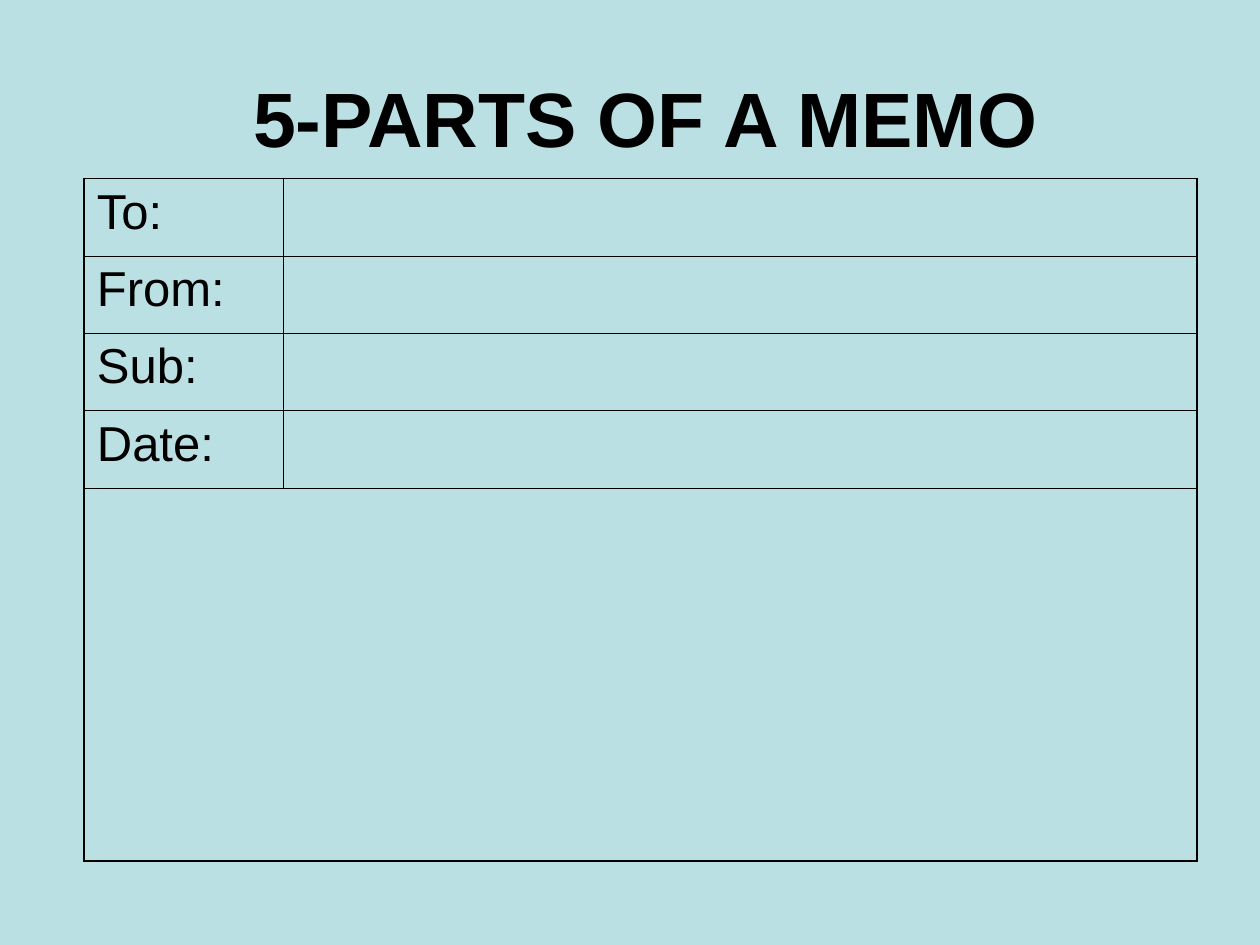
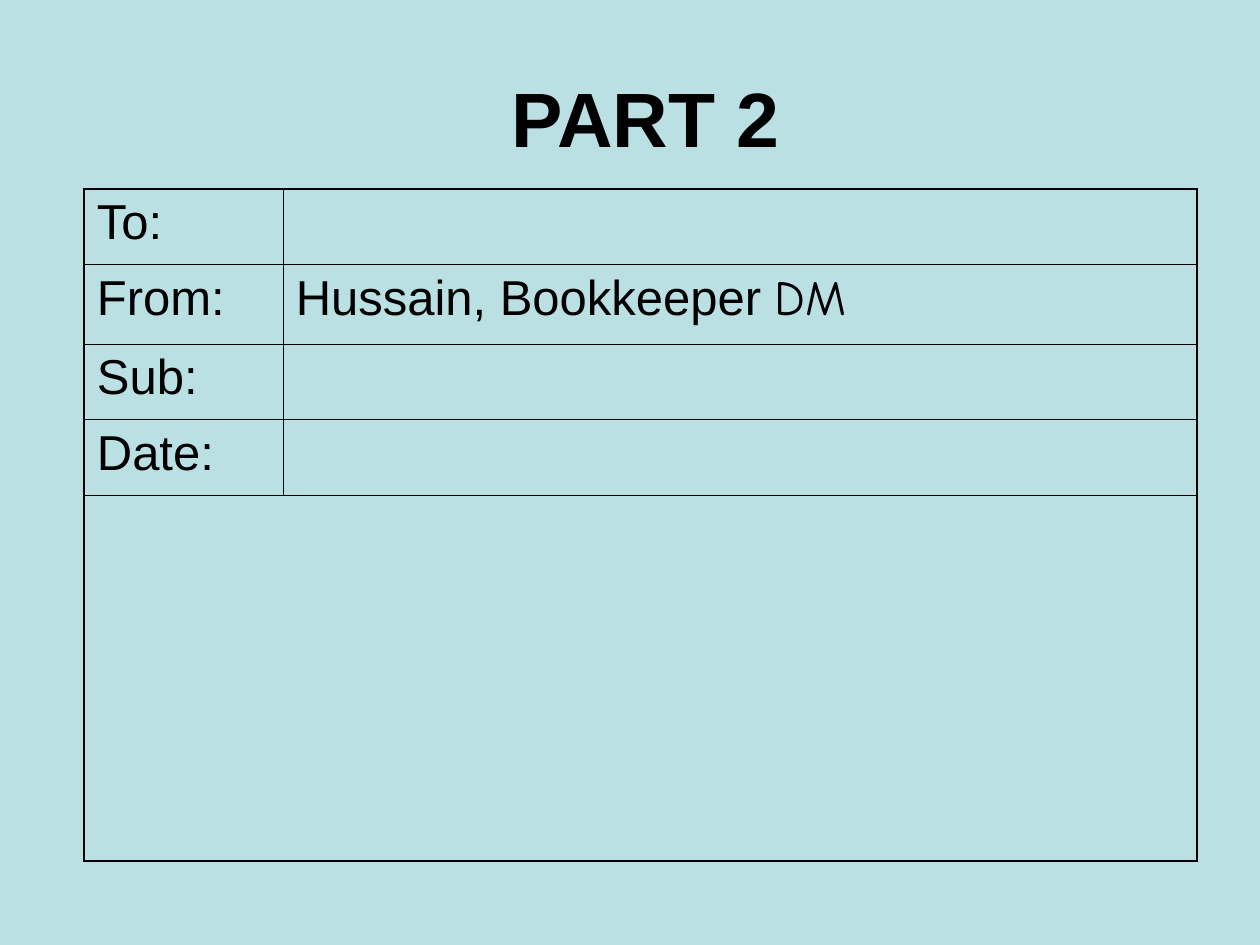
from lxml import etree
from pptx import Presentation
from pptx.dml.color import RGBColor
from pptx.enum.text import MSO_ANCHOR, PP_ALIGN
from pptx.oxml.ns import qn
from pptx.util import Cm, Pt

MIDDLE = MSO_ANCHOR.MIDDLE
CENTER = PP_ALIGN.CENTER
BACK = RGBColor(0xBB, 0xE0, 0xE3)
INK = RGBColor(0, 0, 0)
FONT = "Arial"
HAND = "Comic Neue"
THIN, THICK = Pt(0.45), Pt(1.08)
LABELS = ["To:", "From:", "Sub:", "Date:"]
WIDTHS = [4.01, 18.42]


def style(font, size, bold=False):
    """Give a font the deck's face and ink."""
    font.name = FONT
    font.size = Pt(size)
    font.bold = bold
    font.color.rgb = INK


def add_title(slide, text):
    """Place the slide title."""
    title = slide.shapes.title
    title.left, title.top = Cm(1.9), Cm(0.76)
    title.width, title.height = Cm(22.23), Cm(3.18)
    frame = title.text_frame
    frame.text = text
    frame.vertical_anchor = MIDDLE
    para = frame.paragraphs[0]
    para.alignment = CENTER
    style(para.font, 44, True)


def add_edges(cell, widths):
    """Draw the left, right, top and bottom borders of a cell."""
    props = cell._tc.get_or_add_tcPr()
    for spot, (side, width) in enumerate(zip("LRTB", widths)):
        line = etree.Element(qn(f"a:ln{side}"), w=str(width))
        fill = etree.SubElement(line, qn("a:solidFill"))
        etree.SubElement(fill, qn("a:srgbClr"), val=str(INK))
        props.insert(spot, line)


def fill_cell(cell, *parts):
    """Write (text, font) parts into a cell; no font means the deck's own."""
    para = cell.text_frame.paragraphs[0]
    for text, face in parts:
        run = para.add_run()
        run.text = text
        if face:
            run.font.name = face
    style(para.font, 28)


def add_memo(slide, top, heights):
    """Add the memo form and return its table."""
    rows, cols = len(heights), len(WIDTHS)
    frame = slide.shapes.add_table(rows, cols, Cm(1.7), Cm(top),
                                   Cm(sum(WIDTHS)), Cm(sum(heights)))
    table = frame.table
    table.first_row = table.horz_banding = False
    for col, width in zip(table.columns, WIDTHS):
        col.width = Cm(width)
    for row, height in zip(table.rows, heights):
        row.height = Cm(height)
    last = rows - 1
    table.cell(last, 0).merge(table.cell(last, cols - 1))
    for r in range(rows):
        for c in range(cols):
            cell = table.cell(r, c)
            cell.fill.background()
            outer = (c == 0, c == cols - 1 or r == last, r == 0, r == last)
            add_edges(cell, [THICK if rim else THIN for rim in outer])
    for r, label in enumerate(LABELS):
        fill_cell(table.cell(r, 0), (label, None))
    return table


def add_page(deck, title, top, heights):
    """Add a titled slide with a memo form and return the table."""
    slide = deck.slides.add_slide(deck.slide_layouts[5])
    add_title(slide, title)
    return add_memo(slide, top, heights)


def main():
    """Build and save the deck."""
    deck = Presentation()
    deck.slide_width, deck.slide_height = Cm(25.4), Cm(19.05)
    ground = deck.slide_master.background.fill
    ground.solid()
    ground.fore_color.rgb = BACK
    add_page(deck, "5-PARTS OF A MEMO", 3.6, [1.56] * 4 + [7.52])
    memo = add_page(deck, "PART 2", 3.81, [1.52, 1.61, 1.52, 1.52, 7.37])
    fill_cell(memo.cell(1, 1), ("Hussain, Bookkeeper ", None), ("DM", HAND))
    deck.save("out.pptx")


if __name__ == "__main__":
    main()
